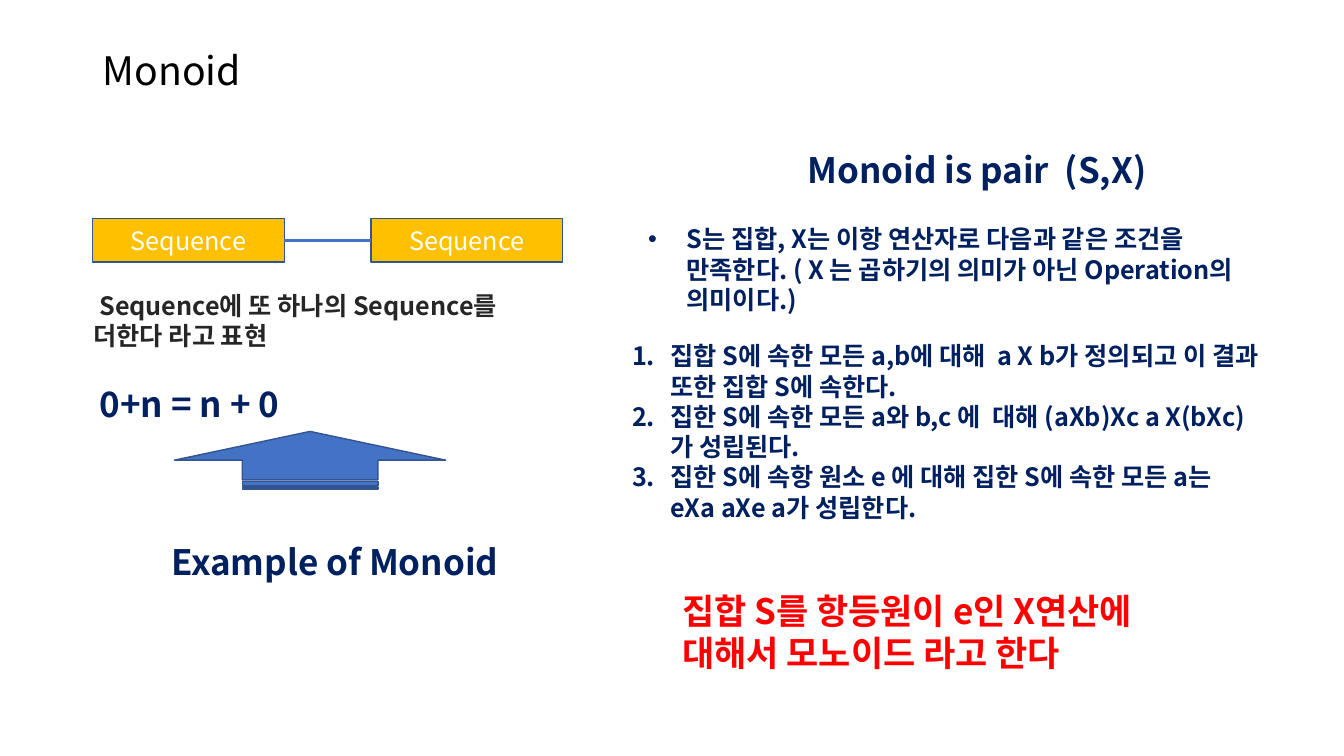
from lxml.etree import SubElement
from pptx import Presentation
from pptx.dml.color import RGBColor
from pptx.enum.shapes import MSO_CONNECTOR, MSO_SHAPE
from pptx.enum.text import MSO_ANCHOR, PP_ALIGN
from pptx.oxml.ns import qn
from pptx.util import Inches, Pt

FONT = "Noto Sans CJK KR"
COLORS = {
    "black": "000000", "white": "FFFFFF", "dark": "262626", "navy": "002060",
    "red": "FF0000", "gold": "FFC000", "blue": "4472C4", "outline": "325491",
}
TITLE = "Monoid"
SEQUENCES = ["Sequence", "Sequence"]
BODY, HEADING = 18, 25

# left, top, width, height, size, colour, marker, paragraphs
NOTES = [
    (0.83, 2.83, 4.84, 0.71, BODY, "dark", None,
     [" Sequence에 또 하나의 Sequence를 더한다 라고 표현"]),
    (0.89, 3.75, 4.84, 0.52, HEADING, "navy", None, ["0+n = n + 0"]),
    (1.6, 5.31, 4.84, 0.52, HEADING, "navy", None, ["Example of Monoid"]),
    (7.91, 1.42, 4.84, 0.52, HEADING, "navy", None, ["Monoid is pair  (S,X)"]),
    (6.33, 2.17, 6.42, 1.01, BODY, "navy", "bullet",
     ["S는 집합, X는 이항 연산자로 다음과 같은 조건을 만족한다. "
      "( X 는 곱하기의 의미가 아닌 Operation의 의미이다.)"]),
    (6.17, 3.33, 6.42, 1.92, BODY, "navy", "number",
     ["집합 S에 속한 모든 a,b에 대해  a X b가 정의되고 이 결과 또한 집합 S에 속한다.",
      "집한 S에 속한 모든 a와 b,c 에  대해 (aXb)Xc a X(bXc)가 성립된다.",
      "집한 S에 속항 원소 e 에 대해 집한 S에 속한 모든 a는 eXa aXe a가 성립한다."]),
    (6.67, 5.8, 4.84, 1.36, HEADING, "red", None,
     ["집합 S를 항등원이 e인 X연산에 대해서 모노이드 라고 한다"]),
]


def rgb(color):
    return RGBColor.from_string(COLORS[color])


def style_text(paragraph, size, color, bold=False):
    for run in paragraph.runs:
        run.font.size = Pt(size)
        run.font.bold = bold
        run.font.color.rgb = rgb(color)
        run.font.name = FONT
        SubElement(run.font._element, qn("a:ea"), typeface=FONT)


def add_marker(paragraph, marker):
    """Give the paragraph a hanging indent with a bullet or a number."""
    properties = paragraph._p.get_or_add_pPr()
    properties.set("marL", str(Inches(0.38)))
    properties.set("indent", str(-Inches(0.38)))
    if marker == "bullet":
        SubElement(properties, qn("a:buFont"), typeface="Arial")
        SubElement(properties, qn("a:buChar"), char="•")
    else:
        SubElement(properties, qn("a:buFont"), typeface="+mj-lt")
        SubElement(properties, qn("a:buAutoNum"), type="arabicPeriod")


def add_filled(slide, preset, left, top, width, height, fill):
    shape = slide.shapes.add_shape(
        preset, Inches(left), Inches(top), Inches(width), Inches(height))
    shape.shadow.inherit = False
    shape.fill.solid()
    shape.fill.fore_color.rgb = rgb(fill)
    shape.line.color.rgb = rgb("outline")
    shape.line.width = Pt(1)
    return shape


def add_title(slide):
    title = slide.shapes.title
    title.left, title.top = Inches(0.92), Inches(0.4)
    title.width, title.height = Inches(11.5), Inches(0.65)
    title.text_frame.text = TITLE
    title.text_frame.vertical_anchor = MSO_ANCHOR.MIDDLE
    heading = title.text_frame.paragraphs[0]
    heading.alignment = PP_ALIGN.LEFT
    heading.line_spacing = 0.9
    style_text(heading, 28, "black")


def add_sequences(slide):
    boxes = []
    for i, label in enumerate(SEQUENCES):
        box = add_filled(slide, MSO_SHAPE.RECTANGLE,
                         0.92 + 2.76 * i, 2.17, 1.9, 0.43, "gold")
        box.text_frame.text = label
        box.text_frame.vertical_anchor = MSO_ANCHOR.MIDDLE
        box.text_frame.paragraphs[0].alignment = PP_ALIGN.CENTER
        style_text(box.text_frame.paragraphs[0], BODY, "white")
        boxes.append(box)
    for first, second in zip(boxes, boxes[1:]):
        link = slide.shapes.add_connector(MSO_CONNECTOR.STRAIGHT, 0, 0, 0, 0)
        link.begin_connect(first, 3)
        link.end_connect(second, 1)
        link.line.color.rgb = rgb("blue")
        link.line.width = Pt(2)
        SubElement(link._element.spPr, qn("a:effectLst"))


def add_note(slide, left, top, width, height, size, color, marker, lines):
    frame = slide.shapes.add_textbox(
        Inches(left), Inches(top), Inches(width), Inches(height)).text_frame
    frame.word_wrap = True
    frame.text = "\n".join(lines)
    for paragraph in frame.paragraphs:
        style_text(paragraph, size, color, bold=True)
        if marker:
            add_marker(paragraph, marker)


def main():
    deck = Presentation()
    deck.slide_width, deck.slide_height = Inches(13.33), Inches(7.5)
    slide = deck.slides.add_slide(deck.slide_layouts[5])
    add_title(slide)
    add_sequences(slide)
    arrow = add_filled(slide, MSO_SHAPE.STRIPED_RIGHT_ARROW,
                       2.79, 3.22, 0.57, 2.69, "blue")
    arrow.rotation = 270
    for note in NOTES:
        add_note(slide, *note)
    deck.save("out.pptx")


if __name__ == "__main__":
    main()
